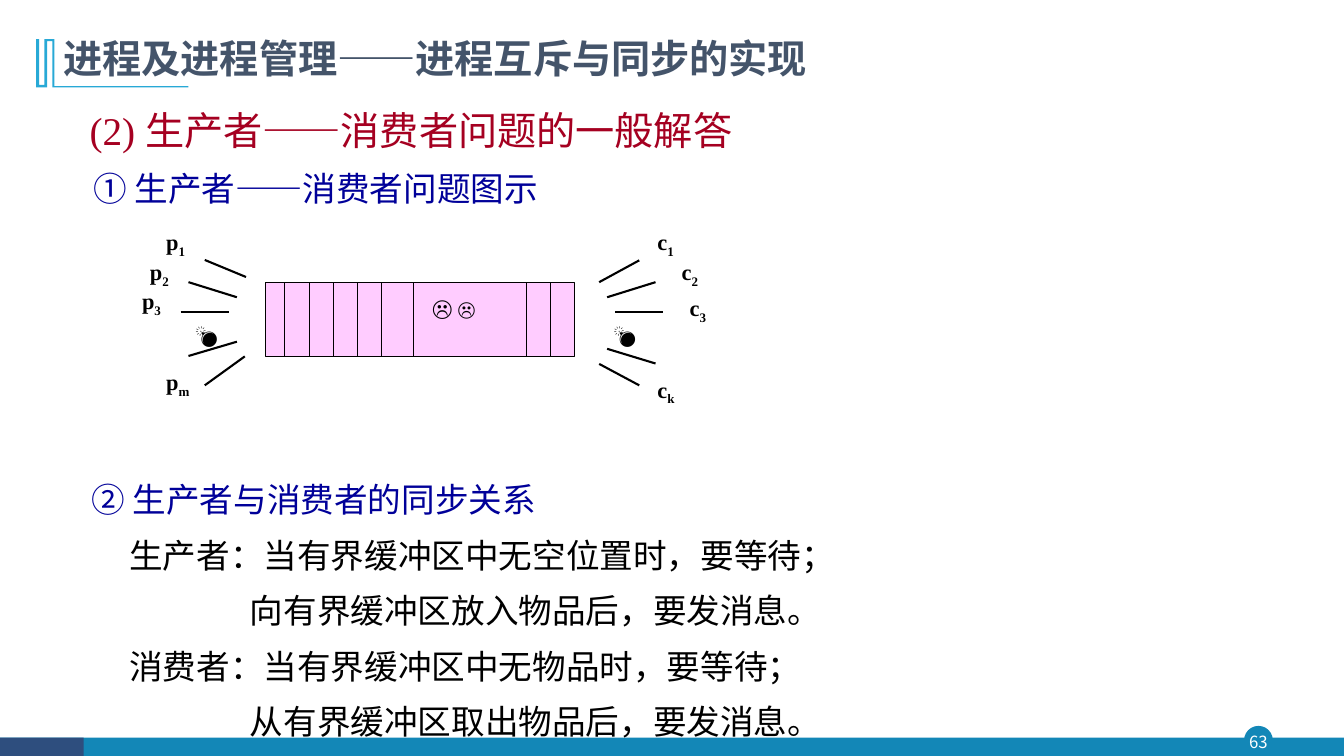
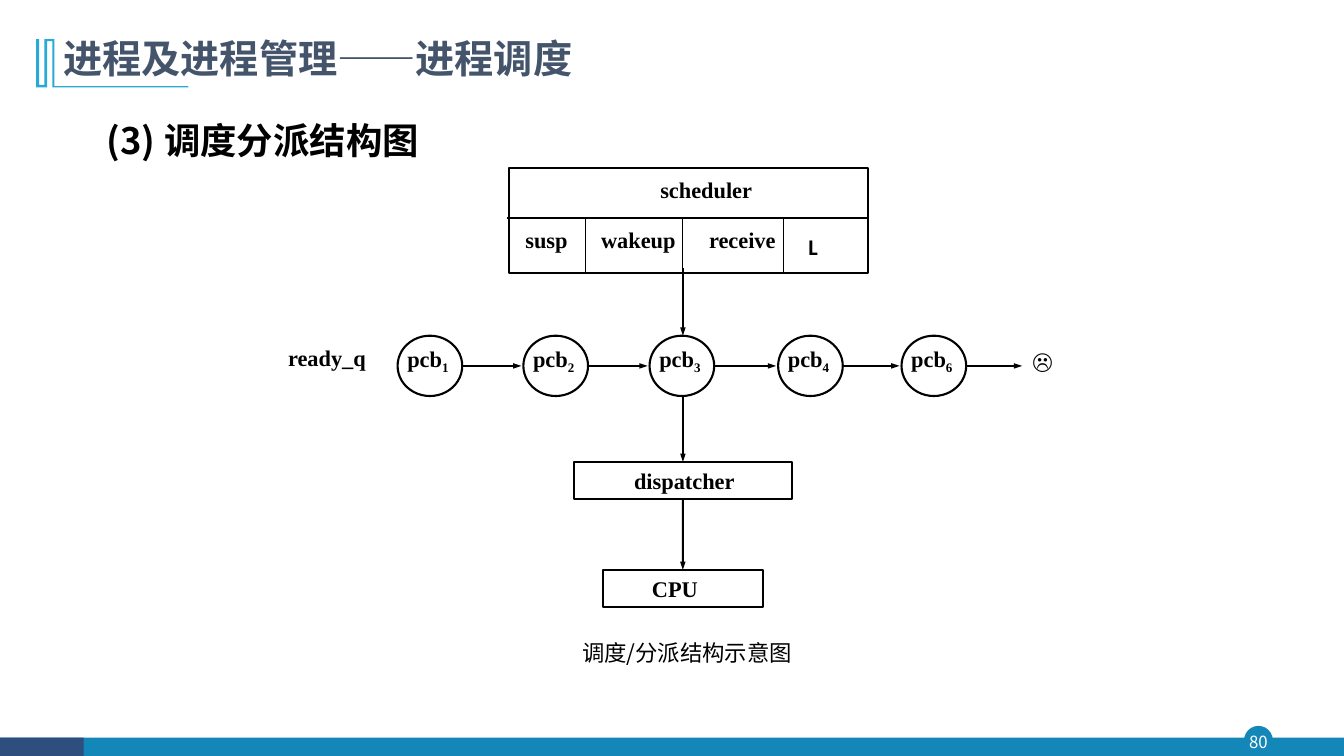
from dataclasses import dataclass

from lxml.etree import SubElement
from pptx import Presentation
from pptx.dml.color import RGBColor as RGB
from pptx.enum.shapes import MSO_CONNECTOR as LINE, MSO_SHAPE as SHAPE
from pptx.enum.text import MSO_ANCHOR as ANCHOR, PP_ALIGN as ALIGN
from pptx.oxml.ns import qn
from pptx.util import Cm, Pt


@dataclass(frozen=True)
class Theme:
    black: str = "000000"
    white: str = "FFFFFF"
    title: str = "44546A"
    band: str = "1387B7"
    corner: str = "2E4E7E"
    mark: str = "28A9D6"
    heading: str = "A50021"
    subheading: str = "000099"
    buffer: str = "FFCCFF"
    sans: str = "Noto Sans CJK SC"
    serif: str = "Times New Roman"
    symbol: str = "Calibri"
    title_size: float = 28
    section_size: float = 26
    body_size: float = 24
    label_size: float = 16
    symbol_size: float = 14
    page_size: float = 12
    para_gap: float = 10.8
    thin: float = 0.75
    thick: float = 1.5


T = Theme()
TITLE_MARK = [(137, 99), (137, 217), (475, 217), (475, 220), (132, 220),
              (132, 104), (119, 104), (119, 220), (91, 220), (91, 99),
              (99, 99), (99, 214), (112, 214), (112, 99)]


class Deck:
    def __init__(self):
        self.prs = Presentation()
        self.prs.slide_width, self.prs.slide_height = Cm(33.87), Cm(19.05)
        self.s = None

    def slide(self, title, page):
        self.s = self.prs.slides.add_slide(self.prs.slide_layouts[6])
        self.shape(SHAPE.RECTANGLE, 0, 18.59, 33.87, 0.46, fill=T.band)
        self.shape(SHAPE.RECTANGLE, 0, 18.59, 2.11, 0.46, fill=T.corner)
        badge = self.shape(SHAPE.OVAL, 31.37, 18.31, 0.69, 0.69,
                           fill=T.band, line=T.band, width=1)
        self.inner_text(badge, page, T.sans, T.page_size, T.white, False, top=0.1)
        outline = self.s.shapes.build_freeform(*TITLE_MARK[0], scale=Cm(0.01))
        outline.add_line_segments(TITLE_MARK[1:], close=True)
        self.paint(outline.convert_to_shape(), T.mark)
        self.text(1.35, 0.73, 26.6, 1.6, title, T.sans, T.title_size, T.title, True)

    def paint(self, sp, fill=None, line=None, width=T.thick):
        sp.shadow.inherit = False
        if fill:
            sp.fill.solid()
            sp.fill.fore_color.rgb = RGB.from_string(fill)
        else:
            sp.fill.background()
        if line:
            sp.line.color.rgb = RGB.from_string(line)
            sp.line.width = Pt(width)
        else:
            sp.line.fill.background()
        return sp

    def shape(self, kind, x, y, w, h, fill=None, line=None, width=T.thick):
        sp = self.s.shapes.add_shape(kind, Cm(x), Cm(y), Cm(w), Cm(h))
        return self.paint(sp, fill, line, width)

    def style(self, r, font, size, color, bold):
        r.font.name, r.font.size, r.font.bold = font, Pt(size), bold
        r.font.color.rgb = RGB.from_string(color)
        SubElement(r._r.get_or_add_rPr(), qn("a:ea"), typeface=T.sans)

    def add_run(self, p, text, font, size, color, bold):
        r = p.add_run()
        r.text = text
        self.style(r, font, size, color, bold)
        return r

    def subscript(self, p, sub):
        r = self.add_run(p, sub, T.serif, T.label_size, T.black, True)
        r._r.get_or_add_rPr().set("baseline", "-25000")

    def text(self, x, y, w, h, text, font, size, color, bold=False, flush=False):
        tf = self.s.shapes.add_textbox(Cm(x), Cm(y), Cm(w), Cm(h)).text_frame
        tf.word_wrap = True
        if flush:
            tf.margin_left = tf.margin_right = tf.margin_top = tf.margin_bottom = 0
        p = tf.paragraphs[0]
        p.text = text
        self.style(p.runs[0], font, size, color, bold)
        return tf

    def add_line_of_text(self, tf, text, indent):
        p = tf.add_paragraph()
        p.text = text
        p.space_before = Pt(T.para_gap)
        p._p.get_or_add_pPr().set("marL", str(Cm(indent)))
        self.style(p.runs[0], T.serif, T.body_size, T.black, False)

    def inner_text(self, sp, text, font, size, color, bold,
                   left=0, right=0, top=0, bottom=0, align=ALIGN.CENTER):
        tf = sp.text_frame
        tf.word_wrap = False
        tf.vertical_anchor = ANCHOR.MIDDLE
        tf.margin_left, tf.margin_right = Cm(left), Cm(right)
        tf.margin_top, tf.margin_bottom = Cm(top), Cm(bottom)
        p = tf.paragraphs[0]
        p.text = text
        p.alignment = align
        self.style(p.runs[0], font, size, color, bold)
        return p

    def label(self, x, y, text, sub=None, w=1.63, font=T.serif, flush=False):
        tf = self.text(x, y, w, 0.9, text, font, T.label_size, T.black, True, flush)
        if sub:
            self.subscript(tf.paragraphs[0], sub)
        return tf

    def line(self, x1, y1, x2, y2, width=T.thick, arrow=False, begin=None, end=None):
        c = self.s.shapes.add_connector(LINE.STRAIGHT, Cm(x1), Cm(y1), Cm(x2), Cm(y2))
        c.line.color.rgb = RGB.from_string(T.black)
        c.line.width = Pt(width)
        if arrow:
            SubElement(c.line._get_or_add_ln(), qn("a:tailEnd"), type="triangle", w="sm")
        SubElement(c._element.spPr, qn("a:effectLst"))
        if begin:
            c.begin_connect(begin, 2)
        if end:
            c.end_connect(end, 0)

    def node(self, x, y, w, h, text, left):
        sp = self.shape(SHAPE.RECTANGLE, x, y, w, h, line=T.black)
        self.inner_text(sp, text, T.serif, T.label_size, T.black, True,
                        left=left, align=ALIGN.LEFT)
        return sp


def producer_consumer(d):
    d.slide("进程及进程管理——进程互斥与同步的实现", "63")
    d.text(2.01, 2.56, 23.3, 1.7, "(2) 生产者——消费者问题的一般解答",
           T.serif, T.title_size, T.heading)
    d.text(2.11, 4.11, 17.2, 1.5, "① 生产者——消费者问题图示",
           T.serif, T.body_size, T.subheading)
    tf = d.text(2.06, 11.95, 21.9, 7.1, "② 生产者与消费者的同步关系",
                T.serif, T.body_size, T.subheading)
    for role, wait, notify in (
            ("生产者", "当有界缓冲区中无空位置时，要等待；", "向有界缓冲区放入物品后，要发消息。"),
            ("消费者", "当有界缓冲区中无物品时，要等待；", "从有界缓冲区取出物品后，要发消息。")):
        d.add_line_of_text(tf, f"{role}：{wait}", 0.95)
        d.add_line_of_text(tf, notify, 3.99)

    top, bottom = 7.12, 8.98
    d.shape(SHAPE.RECTANGLE, 6.68, top, 7.8, bottom - top, T.buffer, T.black, T.thin)
    for x in [7.18 + 0.61 * i for i in range(5)] + [10.43, 13.26, 13.87]:
        d.line(x, top, x, bottom, T.thin)
    smile = d.label(10.64, 7.29, "☹ ", w=2.74, font=T.sans)
    d.add_run(smile.paragraphs[0], "☹", "Arial", T.symbol_size, T.black, True)

    for ray in ((5.16, 6.55, 6.2, 6.98), (4.75, 7.11, 5.97, 7.49),
                (4.55, 7.86, 5.77, 7.86), (4.75, 8.97, 5.97, 8.61),
                (5.16, 9.71, 6.17, 8.98), (15.1, 7.11, 16.11, 6.56),
                (15.3, 7.49, 16.52, 7.11), (15.5, 7.86, 16.72, 7.86),
                (15.3, 8.79, 16.52, 9.16), (15.1, 9.17, 16.11, 9.71)):
        d.line(*ray)
    for x, y, name, sub in (
            (3.94, 5.63, "p", "1"), (3.53, 6.38, "p", "2"),
            (3.33, 7.11, "p", "3"), (3.94, 9.16, "p", "m"),
            (16.32, 5.63, "c", "1"), (16.93, 6.38, "c", "2"),
            (17.13, 7.29, "c", "3"), (16.32, 9.35, "c", "k")):
        d.label(x, y, name, sub)
    for x in (4.67, 15.21):
        d.label(x, 7.98, "💣")


def dispatch_structure(d):
    d.slide("进程及进程管理——进程调度", "80")
    d.text(2.44, 2.85, 22.3, 1.7, "(3) 调度分派结构图",
           T.sans, T.section_size, T.black, True)

    d.shape(SHAPE.RECTANGLE, 12.83, 4.23, 9.04, 2.64, line=T.black)
    d.line(12.78, 5.49, 21.87, 5.49)
    axis = 17.21
    for x in (14.76, axis, 19.75):
        d.line(x, 5.49, x, 6.86, T.thin)
    for x, y, name in ((16.64, 4.45, "scheduler"), (13.24, 5.7, "susp"),
                       (15.15, 5.7, "wakeup"), (17.87, 5.7, "receive"),
                       (7.26, 8.66, "ready_q")):
        d.label(x, y, name, w=2.74, flush=True)
    d.label(20.37, 5.87, "L", font=T.symbol, flush=True)
    d.label(26.02, 8.76, "☹", font=T.symbol, flush=True)

    lefts, top, w, h = (10.02, 13.19, 16.37, 19.61, 22.72), 8.46, 1.63, 1.52
    for x, sub, target in zip(lefts, "12346", lefts[1:] + (25.81,)):
        sp = d.shape(SHAPE.OVAL, x, top, w, h, line=T.black)
        p = d.inner_text(sp, "pcb", T.serif, T.label_size, T.black, True,
                         right=0.1, bottom=0.28)
        d.subscript(p, sub)
        d.line(x + w, top + h / 2, target - 0.05, top + h / 2, arrow=True)

    dispatcher = d.node(14.46, 11.64, 5.5, 0.94, "dispatcher", 1.52)
    cpu = d.node(15.2, 14.36, 4.02, 0.94, "CPU", 1.23)
    d.line(axis, 6.76, axis, top, arrow=True)
    d.line(axis, top + h, axis, 11.64, arrow=True, end=dispatcher)
    d.line(axis, 12.58, axis, 14.36, arrow=True, begin=dispatcher, end=cpu)
    d.text(14.42, 15.99, 6.43, 1.07, "调度/分派结构示意图",
           T.sans, T.label_size, T.black)


def main():
    d = Deck()
    producer_consumer(d)
    dispatch_structure(d)
    d.prs.save("out.pptx")


if __name__ == "__main__":
    main()
